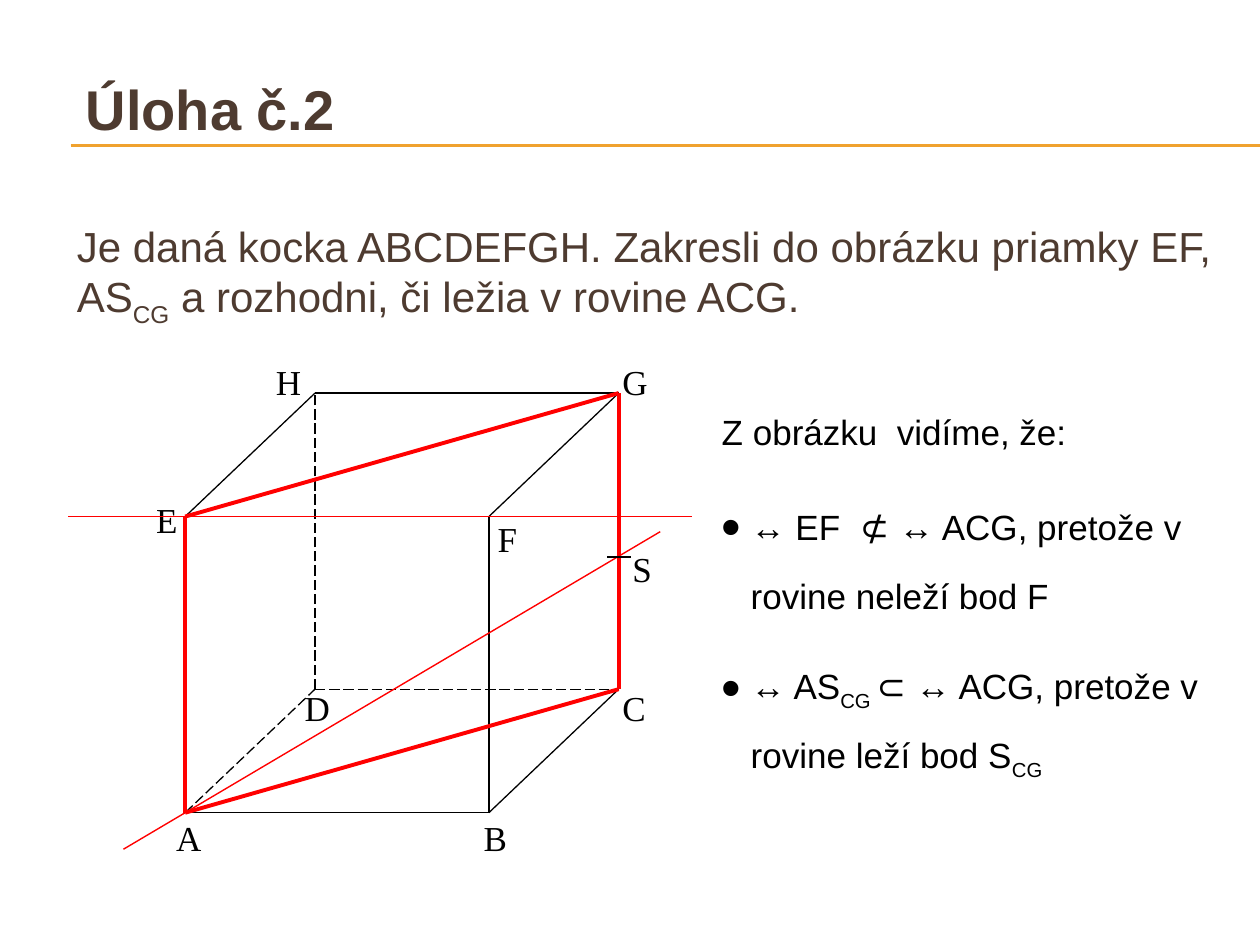
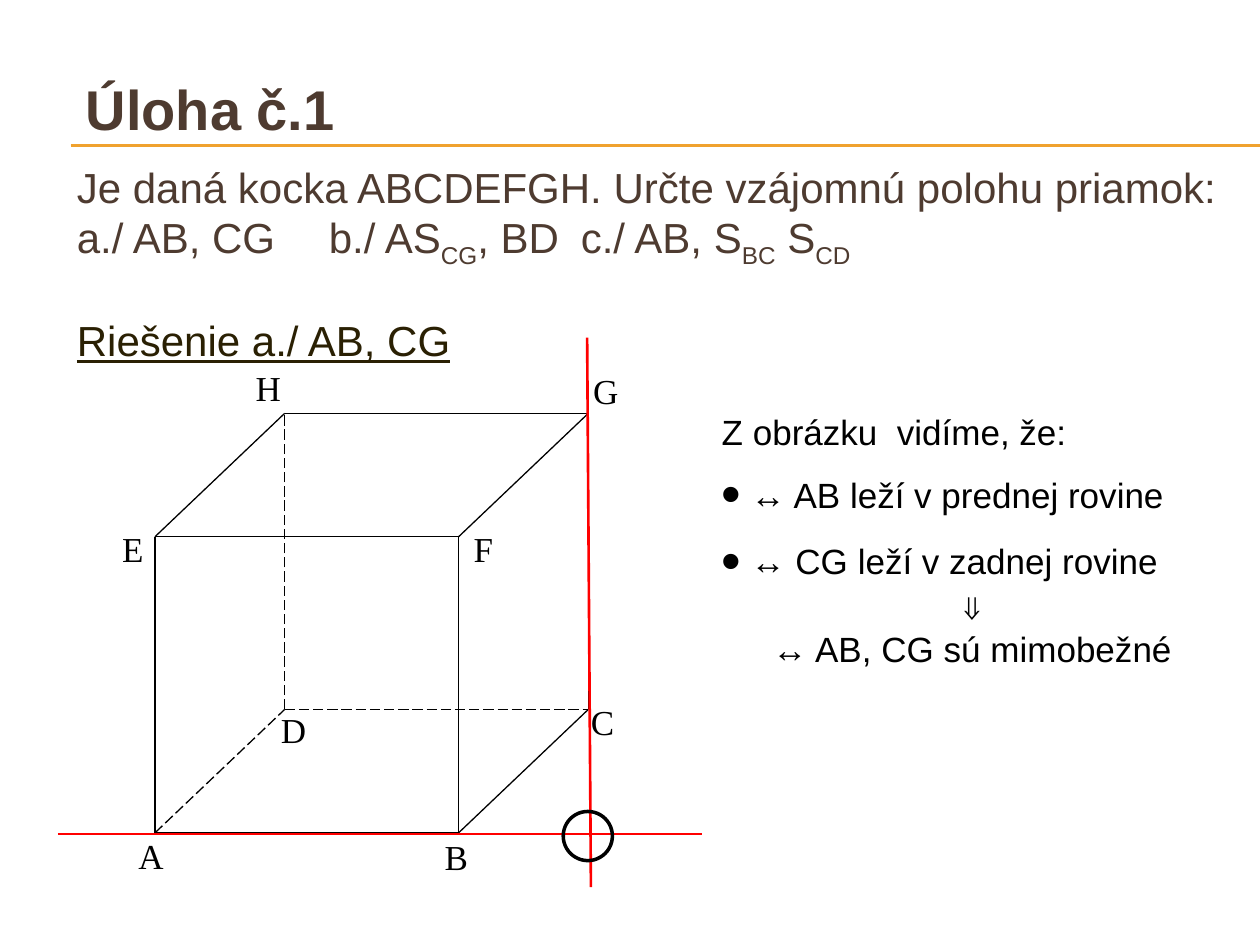
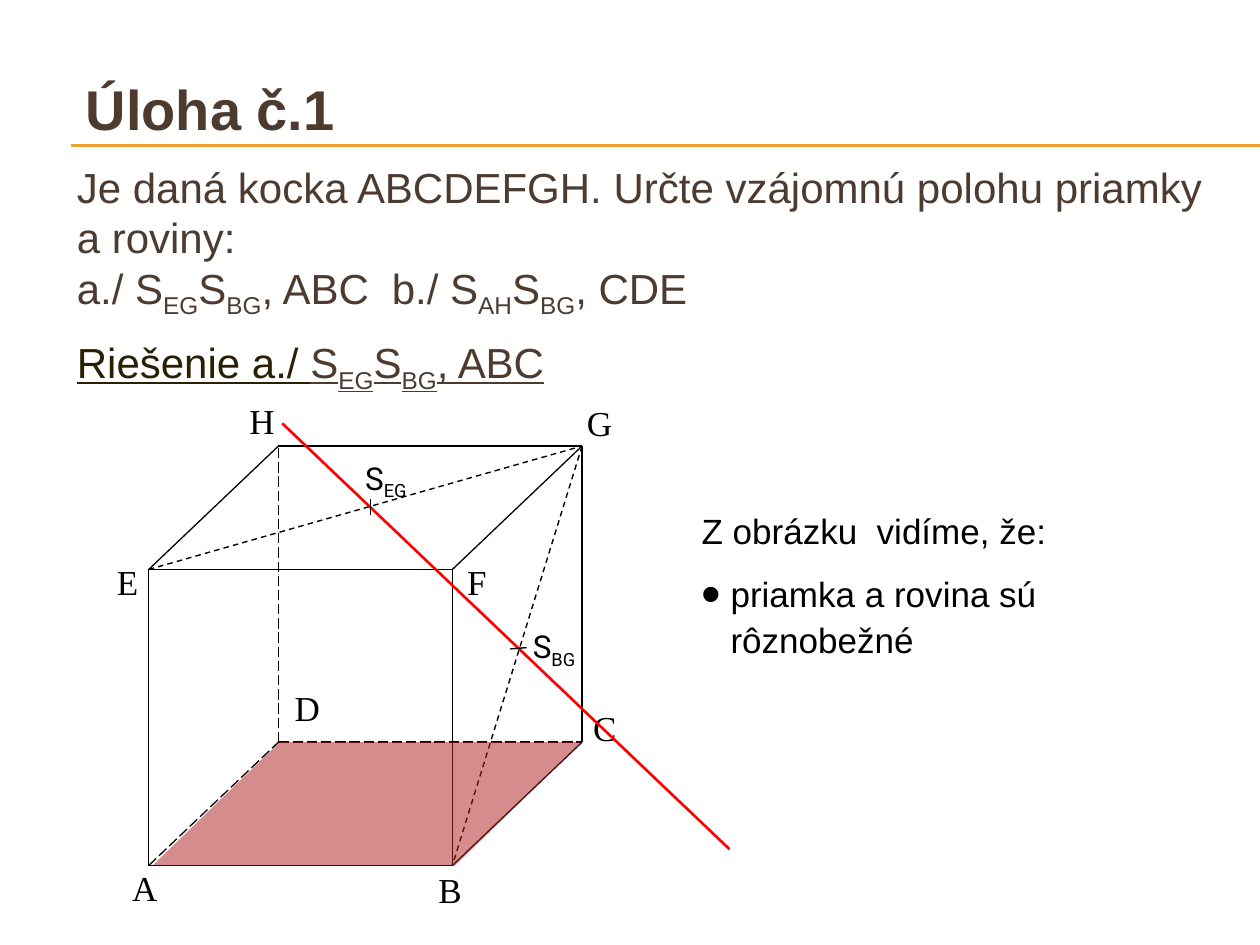
from dataclasses import dataclass

from lxml.etree import SubElement
from pptx import Presentation
from pptx.dml.color import RGBColor
from pptx.enum.dml import MSO_LINE
from pptx.enum.shapes import MSO_CONNECTOR, MSO_SHAPE
from pptx.enum.text import MSO_ANCHOR, MSO_AUTO_SIZE, PP_ALIGN
from pptx.oxml.ns import qn
from pptx.util import Inches, Pt

COLORS = {
    "brown": "4E3B30", "olive": "2A2003", "gold": "F0A22E",
    "black": "000000", "red": "FF0000", "plane": "AD1F1F",
}
Point = tuple[float, float]
Box = tuple[float, float, float, float]


@dataclass
class Run:
    text: str
    sub: bool = False
    color: str = "black"
    font: str = "Arial"
    size: float = 20
    underline: bool = False
    bold: bool = False


@dataclass
class Para:
    runs: list[Run]
    before: float = 0
    spacing: float | None = None
    exact: float | None = None
    bullet: bool = False
    align: PP_ALIGN = PP_ALIGN.LEFT
    tabs: tuple[float, ...] = ()


@dataclass
class Line:
    start: Point
    end: Point
    color: str = "black"
    width: float = 0.75
    dash: MSO_LINE | None = None


@dataclass
class Cube:
    left: float
    bottom: float
    labels: dict[str, Point]

    def vertices(self) -> dict[str, Point]:
        """Return the eight corner points by letter."""
        side, depth, rise, height = 2.41, 1.03, 0.98, 2.35
        x, y = self.left, self.bottom
        base = {"A": (x, y), "B": (x + side, y),
                "C": (x + side + depth, y - rise), "D": (x + depth, y - rise)}
        top = {t: (base[b][0], base[b][1] - height) for b, t in zip("ABCD", "EFGH")}
        return base | top


def rgb(name: str) -> RGBColor:
    """Return a named colour."""
    return RGBColor.from_string(COLORS[name])


def rich(text: str, **style) -> list[Run]:
    """Split text at underscores into normal and subscript runs."""
    parts = text.split("_")
    return [Run(t, sub=i % 2 == 1, **style) for i, t in enumerate(parts) if t]


def task(text: str, **style) -> list[Run]:
    """Return runs in the style of the task wording."""
    return rich(text, **({"color": "brown", "size": 24} | style))


def format_para(p, para: Para) -> None:
    """Set bullet, tabs, spacing and runs of a paragraph."""
    pPr = p._p.get_or_add_pPr()
    indent = Inches(0.23) if para.bullet else 0
    pPr.set("marL", str(indent))
    pPr.set("indent", str(-indent))
    if para.bullet:
        SubElement(pPr, qn("a:buSzPct"), val="160000")
        SubElement(pPr, qn("a:buFont"), typeface="Arial")
        SubElement(pPr, qn("a:buChar"), char="•")
    else:
        SubElement(pPr, qn("a:buNone"))
    if para.tabs:
        tab_list = SubElement(pPr, qn("a:tabLst"))
        for pos in para.tabs:
            SubElement(tab_list, qn("a:tab"), pos=str(Inches(pos)), algn="l")
    p.alignment = para.align
    p.space_before = Pt(para.before)
    p.line_spacing = Pt(para.exact) if para.exact else para.spacing
    for run in para.runs:
        r = p.add_run()
        r.text = run.text
        r.font.name, r.font.size = run.font, Pt(run.size)
        r.font.bold, r.font.underline = run.bold, run.underline
        r.font.color.rgb = rgb(run.color)
        if run.sub:
            r._r.get_or_add_rPr().set("baseline", "-25000")


def fill_text(sp, paras: list[Para]) -> None:
    """Write paragraphs into a shape."""
    tf = sp.text_frame
    tf.word_wrap = True
    tf.auto_size = MSO_AUTO_SIZE.NONE
    for i, para in enumerate(paras):
        format_para(tf.add_paragraph() if i else tf.paragraphs[0], para)


def place(sp, box: Box) -> None:
    """Move and size a shape."""
    sp.left, sp.top, sp.width, sp.height = map(Inches, box)


def add_text(shapes, box: Box, paras: list[Para]) -> None:
    """Add a text box."""
    fill_text(shapes.add_textbox(*map(Inches, box)), paras)


def add_line(shapes, line: Line):
    """Draw a straight line without shadow."""
    ends = map(Inches, (*line.start, *line.end))
    sp = shapes.add_connector(MSO_CONNECTOR.STRAIGHT, *ends)
    sp.line.color.rgb = rgb(line.color)
    sp.line.width = Pt(line.width)
    if line.dash:
        sp.line.dash_style = line.dash
    SubElement(sp._element.spPr, qn("a:effectLst"))
    return sp


def add_label(shapes, letter: str, at: Point) -> None:
    """Write the letter of a point."""
    add_text(shapes, (*at, 0.41, 0.43), [Para(rich(letter, font="Times New Roman"))])


def add_cube(slide, cube: Cube) -> dict[str, Point]:
    """Draw a lettered cube as a group and return its corners."""
    shapes = slide.shapes.add_group_shape().shapes
    v = cube.vertices()
    for a, b in ("AB", "BC", "AE", "BF", "CG", "EF", "FG", "GH", "EH"):
        add_line(shapes, Line(v[a], v[b]))
    for a, b in ("AD", "DC", "DH"):
        add_line(shapes, Line(v[a], v[b], dash=MSO_LINE.LONG_DASH))
    for letter, at in cube.labels.items():
        add_label(shapes, letter, at)
    return v


def add_slide(prs, title: str, body_box: Box, paras: list[Para]):
    """Add a slide with its title and task."""
    slide = prs.slides.add_slide(prs.slide_layouts[1])
    head, body = slide.placeholders
    place(head, (0.35, 0.36, 9.5, 0.92))
    fill_text(head, [Para([Run(title, color="brown", size=32, bold=True)])])
    head.text_frame.paragraphs[0]._p.pPr.set("marL", str(Inches(0.23)))
    head.text_frame.vertical_anchor = MSO_ANCHOR.MIDDLE
    head.text_frame.margin_top = Inches(0.12)
    place(body, body_box)
    fill_text(body, paras)
    return slide


def add_rules(slide) -> None:
    """Draw the title rules and move them to the shared layout."""
    tree = slide.slide_layout.placeholders[0]._element.getparent()
    for y in (1.15, 1.16):
        tree.append(add_line(slide.shapes, Line((0.56, y), (10, y), "gold"))._element)


def add_notes(slide, box: Box, paras: list[Para]) -> None:
    """Write the observations beside the cube."""
    intro = Para(rich("Z obrázku  vidíme, že:"), spacing=1.5)
    add_text(slide.shapes, box, [intro, *paras])


def build_plane_task(prs) -> None:
    """Build the task on lines in plane ACG."""
    text = "Je daná kocka ABCDEFGH. Zakresli do obrázku priamky EF, AS_CG_ a rozhodni, či ležia v rovine ACG."
    slide = add_slide(prs, "Úloha č.2", (0.51, 1.7, 9.32, 4.95), [Para(task(text))])
    add_rules(slide)
    v = add_cube(slide, Cube(1.47, 6.45, {
        "A": (1.3, 6.43), "B": (3.74, 6.43), "C": (4.84, 5.4), "D": (2.32, 5.4),
        "E": (1.14, 3.91), "F": (3.85, 4.06), "G": (4.84, 2.81), "H": (2.09, 2.81)}))
    add_line(slide.shapes, Line((0.98, 6.74), (5.24, 4.22), "red", 0.79))
    add_line(slide.shapes, Line((0.54, 4.1), (5.49, 4.1), "red", 0.79))
    layout = {"before": 15, "exact": 39.5, "bullet": True}
    add_notes(slide, (5.63, 3.04, 4.17, 3.53), [
        Para(rich("↔ EF  ") + rich("⊄", font="Roboto")
             + rich(" ↔ ACG, pretože v rovine neleží bod F"), **layout),
        Para(rich("↔ AS_CG _") + rich("⊂", font="Roboto")
             + rich(" ↔ ACG, pretože v rovine leží bod S_CG_"), **layout)])
    for a, b in ("EG", "EA", "GC", "CA"):
        add_line(slide.shapes, Line(v[a], v[b], "red", 2.25))
    add_line(slide.shapes, Line((4.82, 4.42), (5.01, 4.42), width=0.79))
    add_label(slide.shapes, "S", (4.92, 4.3))


def build_skew_lines(prs) -> None:
    """Build the task on lines AB and CG."""
    slide = add_slide(prs, "Úloha č.1", (0.51, 1.23, 9.32, 6.27), [
        Para(task("Je daná kocka ABCDEFGH. Určte vzájomnú polohu priamok:")),
        Para(task("a./ AB, CG\tb./ AS_CG_, BD\tc./ AB, S_BC_ S_CD_"), tabs=(3.5, 6.5)),
        Para(task("Riešenie a./ AB, CG", color="olive", underline=True),
             before=34, exact=21)])
    add_cube(slide, Cube(1.23, 6.61, {
        "A": (1, 6.57), "B": (3.43, 6.58), "C": (4.59, 5.51), "D": (2.13, 5.57),
        "E": (0.87, 4.14), "F": (3.66, 4.14), "G": (4.61, 2.88), "H": (1.93, 2.86)}))
    add_notes(slide, (5.63, 3.04, 4.17, 2.66), [
        Para(rich("↔ AB leží v prednej rovine"), before=12, exact=24, bullet=True),
        Para(rich("↔ CG leží v zadnej rovine"), before=14, exact=24, bullet=True),
        Para(rich("⇓", bold=True), before=2, exact=24, align=PP_ALIGN.CENTER),
        Para(rich("↔ AB, CG sú mimobežné"), exact=24, align=PP_ALIGN.CENTER)])
    add_line(slide.shapes, Line((0.46, 6.62), (5.57, 6.62), "red", 1.5))
    add_line(slide.shapes, Line((4.66, 2.68), (4.69, 7.04), "red", 1.5))
    ring = slide.shapes.add_shape(MSO_SHAPE.OVAL, *map(Inches, (4.47, 6.44, 0.39, 0.39)))
    ring.shadow.inherit = False
    ring.fill.background()
    ring.line.color.rgb = rgb("black")
    ring.line.width = Pt(2)


def build_line_and_plane(prs) -> None:
    """Build the task on a line and plane ABC."""
    slide = add_slide(prs, "Úloha č.1", (0.51, 1.23, 9.32, 6.27), [
        Para(task("Je daná kocka ABCDEFGH. Určte vzájomnú polohu priamky a roviny:")),
        Para(task("a./ S_EG_S_BG_, ABC\tb./ S_AH_S_BG_, CDE"), tabs=(2.5,)),
        Para(task("Riešenie a./ ", color="olive", underline=True)
             + task("S_EG_S_BG_, ABC", underline=True), before=21.6, exact=21)])
    add_notes(slide, (5.47, 3.83, 4.33, 1.78), [
        Para(rich("priamka a rovina sú rôznobežné"), before=10, exact=26, bullet=True)])
    v = add_cube(slide, Cube(1.18, 6.87, {
        "A": (0.95, 6.83), "B": (3.38, 6.84), "C": (4.61, 5.56), "D": (2.24, 5.4),
        "E": (0.83, 4.4), "F": (3.61, 4.4), "G": (4.56, 3.14), "H": (1.88, 3.12)}))
    for a, b in ("EG", "GB"):
        add_line(slide.shapes, Line(v[a], v[b], width=0.79, dash=MSO_LINE.DASH))
    add_line(slide.shapes, Line((2.24, 3.36), (5.79, 6.74), "red", 1.5))
    add_line(slide.shapes, Line((2.94, 4.09), (2.94, 3.96), width=0.79))
    add_line(slide.shapes, Line((4.05, 5.15), (4.18, 5.14), width=0.79))
    for text, box in (("S_BG_", (4.13, 4.93, 0.55, 0.4)), ("S_EG_", (2.8, 3.59, 0.63, 0.4))):
        add_text(slide.shapes, box, [Para(rich(text, font="Roboto", size=18))])
    base = slide.shapes.add_shape(
        MSO_SHAPE.PARALLELOGRAM, *map(Inches, (1.21, 5.89, 3.41, 0.98)))
    base.adjustments[0] = 1.03
    base.shadow.inherit = False
    base.line.fill.background()
    base.fill.solid()
    base.fill.fore_color.rgb = rgb("plane")
    color = base._element.spPr.find(f"{qn('a:solidFill')}/{qn('a:srgbClr')}")
    SubElement(color, qn("a:alpha"), val="51000")


def main() -> None:
    """Build the deck."""
    prs = Presentation()
    prs.slide_width, prs.slide_height = Inches(10), Inches(7.5)
    build_plane_task(prs)
    build_skew_lines(prs)
    build_line_and_plane(prs)
    prs.save("out.pptx")


if __name__ == "__main__":
    main()
